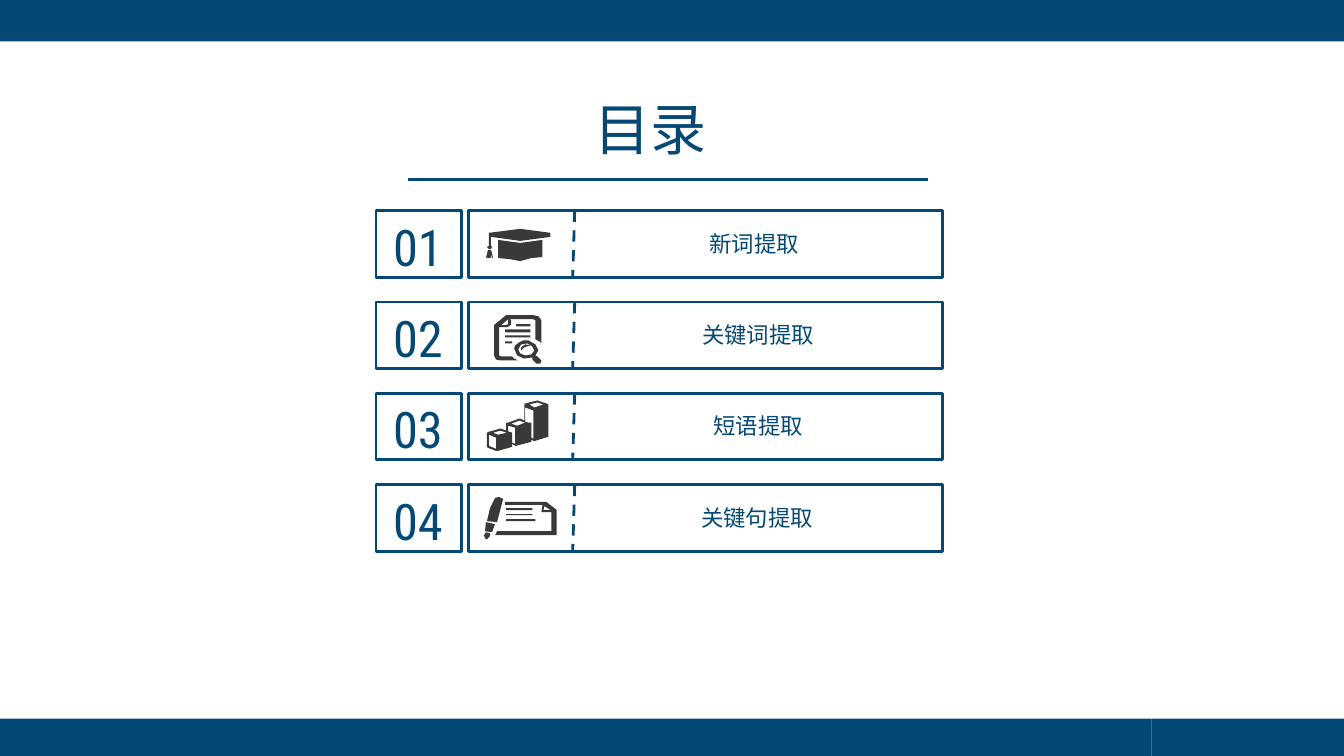
"""Build the contents slide: a title, a rule and four numbered rows with icons."""
from dataclasses import dataclass

from lxml import etree
from pptx import Presentation
from pptx.dml.color import RGBColor
from pptx.enum.dml import MSO_LINE
from pptx.enum.shapes import MSO_CONNECTOR, MSO_SHAPE
from pptx.enum.text import MSO_ANCHOR, MSO_AUTO_SIZE, PP_ALIGN
from pptx.oxml.ns import qn
from pptx.util import Inches, Pt


@dataclass(frozen=True)
class Theme:
    """Colours, fonts and sizes."""
    blue: RGBColor = RGBColor(0x04, 0x48, 0x75)
    icon: RGBColor = RGBColor(0x3B, 0x38, 0x38)
    title_font: str = "Calibri"
    label_font: str = "Noto Sans CJK SC"
    number_font: str = "Roboto Condensed"
    title_size: int = 40
    label_size: int = 16
    number_size: int = 36
    line_width: int = 2


def rect(left, top, right, bottom):
    """Return the corners of a rectangle."""
    return [(left, top), (right, top), (right, bottom), (left, bottom)]


CAP = [
    [(12, 29), (23, 30), (34, 32), (45, 29), (56, 28), (56, 11), (34, 14), (12, 11)],
    [(64, 4), (64, 8), (34, 12), (5, 8), (5, 17), (6, 18), (5, 20), (3, 20),
     (1, 18), (3, 17), (3, 4), (34, 0)],
    [(5, 21), (2, 21), (0, 29), (1, 29), (2, 28), (2, 29), (4, 29), (5, 28),
     (5, 25), (6, 29), (7, 29), (6, 24)],
]
SEARCH = [
    [(14, 0), (39, 0), (44, 1), (47, 5), (47, 28), (45, 26), (41, 24), (41, 5),
     (39, 4), (16, 4), (17, 5), (17, 9), (15, 11), (12, 12), (5, 12), (5, 40),
     (7, 41), (18, 41), (20, 43), (24, 45), (7, 45), (2, 44), (0, 40), (0, 10),
     (1, 9), (12, 0)],
    rect(11, 26, 18, 28), rect(11, 20, 36, 22), rect(11, 14, 36, 17), rect(22, 9, 36, 11),
    [(27, 35), (30, 32), (36, 30), (31, 29), (27, 32)],
    [(25, 27), (21, 30), (20, 33), (23, 40), (30, 43), (38, 42), (38, 44), (42, 48),
     (46, 48), (47, 45), (43, 41), (41, 40), (44, 35), (41, 29), (34, 25), (29, 25)],
    [(33, 28), (27, 29), (24, 34), (26, 38), (31, 40), (37, 39), (40, 35), (38, 31)],
    [(14, 4), (7, 10), (11, 10), (14, 9)],
]
BARS = [
    [(42, 4), (47, 7), (56, 4), (50, 2)],
    [(9, 37), (2, 34), (2, 45), (9, 48)],
    [(24, 23), (30, 25), (38, 22), (32, 20)],
    [(19, 22), (21, 22), (32, 18), (33, 18), (37, 20), (37, 4), (38, 3), (50, 0),
     (59, 3), (61, 4), (61, 36), (48, 40), (46, 40), (44, 39), (44, 41), (29, 45),
     (28, 45), (25, 43), (25, 46), (11, 50), (9, 50), (1, 47), (0, 46), (0, 32),
     (2, 31), (13, 28), (14, 28), (22, 31), (25, 32), (25, 42), (28, 43), (28, 27),
     (21, 25), (21, 31), (19, 30)],
    [(38, 21), (41, 22), (44, 22), (44, 37), (46, 38), (46, 10), (38, 7)],
    [(6, 32), (11, 34), (20, 32), (13, 30)],
]
PEN = [
    [(11, 1), (15, 0), (19, 2), (13, 25), (3, 24), (6, 11)],
    [(13, 34), (11, 38), (72, 38), (72, 13), (71, 12), (62, 5), (60, 5), (21, 5),
     (21, 8), (58, 8), (57, 15), (67, 15), (67, 34)],
    [(66, 13), (59, 13), (60, 9)],
    rect(22, 22, 51, 24), rect(22, 17, 48, 18), rect(22, 11, 48, 13),
    [(2, 35), (6, 36), (6, 39), (3, 42), (1, 41), (0, 38)],
    [(2, 25), (1, 34), (8, 35), (11, 27)],
]
ROWS = [
    ("新词提取", 7.48, CAP, 4.82, 0.18),
    ("关键词提取", 7.52, SEARCH, 4.9, 0.13),
    ("短语提取", 7.52, BARS, 4.83, 0.07),
    ("关键句提取", 7.51, PEN, 4.8, 0.12),
]
FIRST_TOP, LAST_TOP, ROW_HEIGHT = 2.09, 4.81, 0.66


class Deck:
    """Draws styled elements on the current slide."""

    def __init__(self, prs, theme):
        self.theme = theme
        self.slide = prs.slides.add_slide(prs.slide_layouts[5])
        self.shapes = self.slide.shapes

    def set_text(self, sp, text, font, size):
        """Fill a shape with one centred line of text."""
        tf = sp.text_frame
        tf.word_wrap = True
        tf.auto_size = MSO_AUTO_SIZE.SHAPE_TO_FIT_TEXT
        tf.vertical_anchor = MSO_ANCHOR.TOP
        p = tf.paragraphs[0]
        p.alignment = PP_ALIGN.CENTER
        r = p.add_run()
        r.text = text
        r.font.name = font
        r.font.size = Pt(size)
        r.font.color.rgb = self.theme.blue
        if font == self.theme.label_font:
            etree.SubElement(r._r.get_or_add_rPr(), qn("a:ea"), typeface=font)

    def title(self, text, left, top, width, height):
        """Place and fill the title placeholder."""
        sp = self.shapes.title
        sp.left, sp.top = Inches(left), Inches(top)
        sp.width, sp.height = Inches(width), Inches(height)
        self.set_text(sp, text, self.theme.title_font, self.theme.title_size)

    def text(self, text, left, top, width, height, font, size):
        """Add a text box."""
        sp = self.shapes.add_textbox(Inches(left), Inches(top), Inches(width), Inches(height))
        self.set_text(sp, text, font, size)

    def box(self, left, top, width, height, filled=False):
        """Add a solid bar or an outlined box."""
        sp = self.shapes.add_shape(MSO_SHAPE.RECTANGLE, Inches(left), Inches(top),
                                   Inches(width), Inches(height))
        sp.shadow.inherit = False
        if filled:
            sp.fill.solid()
            sp.fill.fore_color.rgb = self.theme.blue
            sp.line.fill.background()
        else:
            sp.fill.background()
            sp.line.color.rgb = self.theme.blue
            sp.line.width = Pt(self.theme.line_width)

    def line(self, x1, y1, x2, y2, dashed=False):
        """Add a straight line."""
        sp = self.shapes.add_connector(MSO_CONNECTOR.STRAIGHT, Inches(x1), Inches(y1),
                                       Inches(x2), Inches(y2))
        sp.line.color.rgb = self.theme.blue
        sp.line.width = Pt(self.theme.line_width)
        if dashed:
            sp.line.dash_style = MSO_LINE.DASH
        etree.SubElement(sp._element.spPr, qn("a:effectLst"))

    def icon(self, contours, left, top):
        """Add an icon from contours given in hundredths of an inch."""
        first, *others = contours
        builder = self.shapes.build_freeform(*first[0], scale=Inches(0.01))
        builder.add_line_segments(first[1:])
        for contour in others:
            builder.move_to(*contour[0])
            builder.add_line_segments(contour[1:])
        sp = builder.convert_to_shape(Inches(left), Inches(top))
        sp.shadow.inherit = False
        sp.fill.solid()
        sp.fill.fore_color.rgb = self.theme.icon
        sp.line.fill.background()

    def row(self, number, top, label, centre, contours, icon_left, icon_drop):
        """Add one numbered entry."""
        theme, width = self.theme, 3.66
        self.icon(contours, icon_left, top + icon_drop)
        self.text(label, centre - width / 2, top + 0.14, width, 0.37,
                  theme.label_font, theme.label_size)
        self.box(4.65, top, 4.7, ROW_HEIGHT)
        self.line(5.7, top, 5.68, top + ROW_HEIGHT, dashed=True)
        self.box(3.73, top, 0.85, ROW_HEIGHT)
        self.text(f"{number:02}", 3.6, top, 1.09, 0.6, theme.number_font, theme.number_size)


def main():
    """Build and save the slide."""
    prs = Presentation()
    prs.slide_width, prs.slide_height = Inches(13.33), Inches(7.5)
    deck = Deck(prs, Theme())
    deck.box(0, 0, 13.33, 0.41, filled=True)
    deck.box(11.42, 7.13, 1.91, 0.37, filled=True)
    deck.box(0, 7.13, 11.42, 0.37, filled=True)
    deck.title("目录", 5.14, 0.89, 2.63, 0.77)
    deck.line(4.05, 1.78, 9.2, 1.78)
    pitch = (LAST_TOP - FIRST_TOP) / (len(ROWS) - 1)
    for i, entry in enumerate(ROWS):
        deck.row(i + 1, FIRST_TOP + i * pitch, *entry)
    prs.save("out.pptx")


if __name__ == "__main__":
    main()
